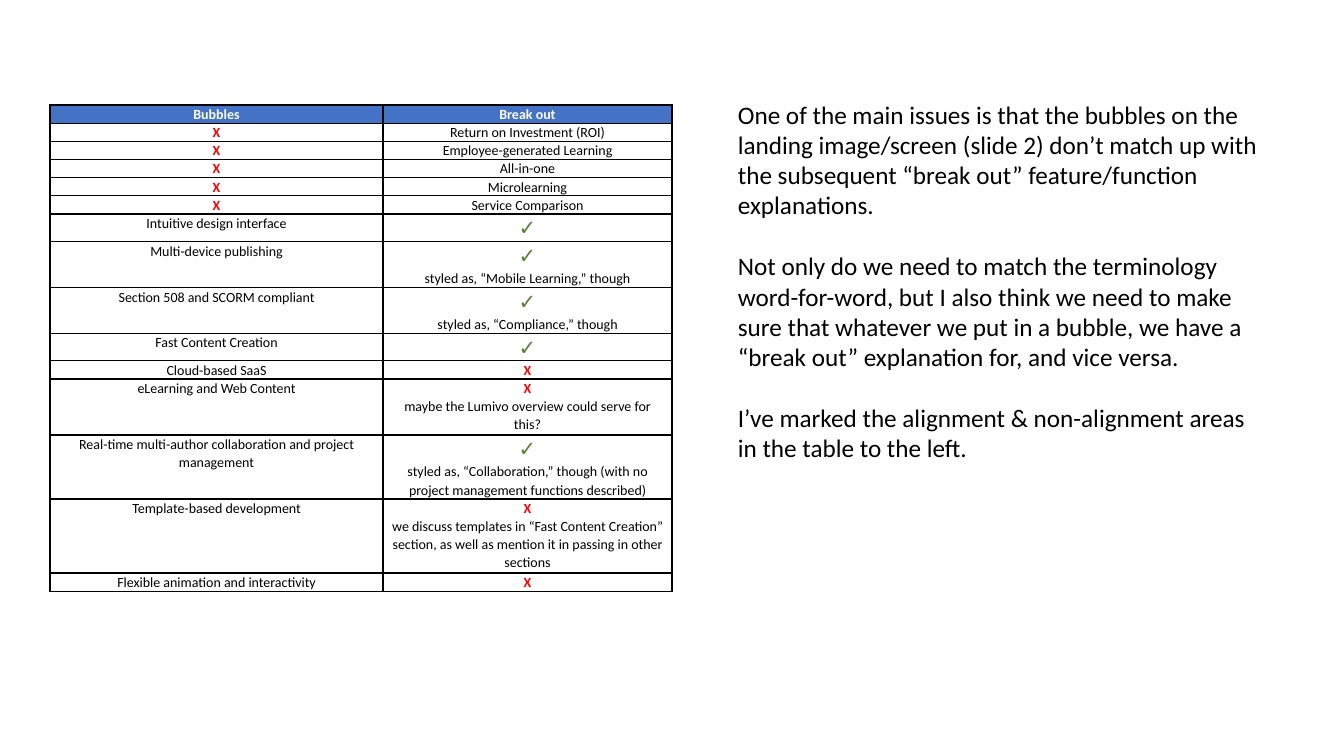
from dataclasses import dataclass

from pptx import Presentation
from pptx.dml.color import RGBColor as Rgb
from pptx.enum.text import MSO_AUTO_SIZE as AutoSize, PP_ALIGN as Align
from pptx.oxml import parse_xml
from pptx.oxml.ns import nsdecls
from pptx.util import Emu, Pt


@dataclass(frozen=True)
class Theme:
    font: str = "Calibri"
    black: str = "000000"
    white: str = "FFFFFF"
    header: str = "4472C4"
    red: str = "FF0000"
    green: str = "548235"
    cell_size: int = 10
    tick_size: int = 15
    body_size: int = 18


theme = Theme()


def px(count):
    return Emu(round(count * 914400 / 100.8))


def add_span(para, text, size, color, bold=False):
    span = para.add_run()
    span.text = text
    span.font.name = theme.font
    span.font.size = Pt(size)
    span.font.bold = bold
    span.font.color.rgb = Rgb.from_string(color)


CROSS, TICK = "X", "✓"
marks = {
    CROSS: (theme.cell_size, theme.red, True),
    TICK: (theme.tick_size, theme.green, True),
}
plain_style = (theme.cell_size, theme.black, False)
header_style = (theme.cell_size, theme.white, True)

rows = [
    (18, ["Bubbles"], ["Break out"]),
    (18, [CROSS], ["Return on Investment (ROI)"]),
    (18, [CROSS], ["Employee-generated Learning"]),
    (18, [CROSS], ["All-in-one"]),
    (18, [CROSS], ["Microlearning"]),
    (18, [CROSS], ["Service Comparison"]),
    (27, ["Intuitive design interface"], [TICK]),
    (46, ["Multi-device publishing"], [TICK, "styled as, “Mobile Learning,” though"]),
    (45, ["Section 508 and SCORM compliant"], [TICK, "styled as, “Compliance,” though"]),
    (27, ["Fast Content Creation"], [TICK]),
    (18, ["Cloud-based SaaS"], [CROSS]),
    (56, ["eLearning and Web Content"],
     [CROSS, "maybe the Lumivo overview could serve for this?"]),
    (64, ["Real-time multi-author collaboration and project management"],
     [TICK, "styled as, “Collaboration,” though (with no project management functions described)"]),
    (74, ["Template-based development"],
     [CROSS, "we discuss templates in “Fast Content Creation” section, "
             "as well as mention it in passing in other sections"]),
    (18, ["Flexible animation and interactivity"], [CROSS]),
]
column_widths = [333, 289]

deck = Presentation()
deck.slide_width, deck.slide_height = px(1344), px(756)
page = deck.slides.add_slide(deck.slide_layouts[6])

table = page.shapes.add_table(
    len(rows), len(column_widths), px(50), px(105),
    px(sum(column_widths)), px(sum(row[0] for row in rows)),
).table
table.first_row = table.horz_banding = False
for column, width in zip(table.columns, column_widths):
    column.width = px(width)

for row_index, (height, *entries) in enumerate(rows):
    table.rows[row_index].height = px(height)
    for column_index, lines in enumerate(entries):
        cell = table.cell(row_index, column_index)
        cell.margin_left = cell.margin_right = px(7)
        cell.margin_top = cell.margin_bottom = 0
        if row_index == 0:
            cell.fill.solid()
            cell.fill.fore_color.rgb = Rgb.from_string(theme.header)
        else:
            cell.fill.background()
        properties = cell._tc.get_or_add_tcPr()
        for position, side in enumerate(["lnL", "lnR", "lnT", "lnB"]):
            properties.insert(position, parse_xml(
                f'<a:{side} {nsdecls("a")} w="{Pt(1)}"><a:solidFill>'
                f'<a:srgbClr val="{theme.black}"/></a:solidFill></a:{side}>'
            ))
        for line_index, line in enumerate(lines):
            frame = cell.text_frame
            para = frame.add_paragraph() if line_index else frame.paragraphs[0]
            para.alignment = Align.CENTER
            para.line_spacing = 1.07
            style = marks.get(line, plain_style) if row_index else header_style
            add_span(para, line, *style)

comments = [
    "One of the main issues is that the bubbles on the landing image/screen (slide 2) "
    "don’t match up with the subsequent “break out” feature/function explanations.",
    "Not only do we need to match the terminology word-for-word, but I also think we need "
    "to make sure that whatever we put in a bubble, we have a “break out” explanation for, "
    "and vice versa.",
    "I’ve marked the alignment & non-alignment areas in the table to the left.",
]
box = page.shapes.add_textbox(px(728), px(94), px(543), px(377))
frame = box.text_frame
frame.word_wrap = True
frame.auto_size = AutoSize.SHAPE_TO_FIT_TEXT
for comment_index, comment in enumerate(comments):
    para = frame.add_paragraph() if comment_index else frame.paragraphs[0]
    para.space_before = Pt(22 if comment_index else 0)
    add_span(para, comment, theme.body_size, theme.black)

deck.save("out.pptx")
